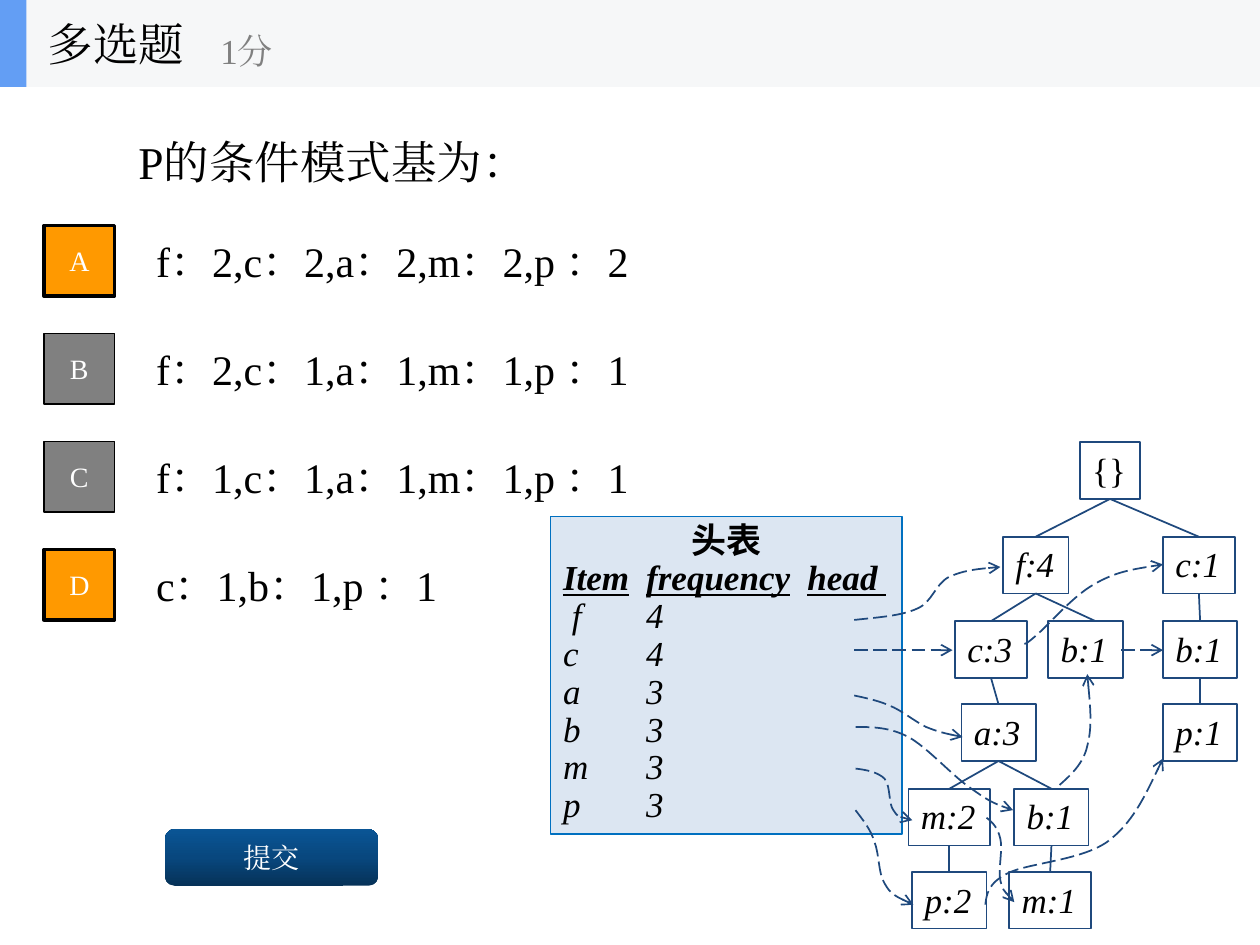
from copy import deepcopy

from lxml import etree
from pptx import Presentation
from pptx.dml.color import RGBColor
from pptx.enum import dml, shapes, text
from pptx.oxml import ns
from pptx.util import Inches, Pt

BLACK = RGBColor(0, 0, 0)
WHITE = RGBColor(255, 255, 255)
GRAY = RGBColor(0x80, 0x80, 0x80)
ORANGE = RGBColor(0xFF, 0x99, 0x00)
NAVY = RGBColor(0x1F, 0x49, 0x7D)
BAR = RGBColor(0xF6, 0xF7, 0xF8)
ACCENT = RGBColor(0x63, 0x9E, 0xF4)
TABLE_FILL = RGBColor(0xDC, 0xE6, 0xF2)
TABLE_LINE = RGBColor(0x00, 0x70, 0xC0)
BUTTON = [(0, RGBColor(0x06, 0x32, 0x58)), (0.5, RGBColor(0x08, 0x47, 0x7E)),
          (1, RGBColor(0x0A, 0x55, 0x95))]
SERIF = "Times New Roman"
SANS = "Noto Sans CJK SC"

OPTIONS = [
    ("A", "f：2,c：2,a：2,m：2,p ：2", True),
    ("B", "f：2,c：1,a：1,m：1,p ：1", False),
    ("C", "f：1,c：1,a：1,m：1,p ：1", False),
    ("D", "c：1,b：1,p ：1", True),
]
HEADER_ROW = "Item\tfrequency\thead "
HEADER_TABS = [0.66, 1.94]
ITEMS = [(" f", 4), ("c", 4), ("a", 3), ("b", 3), ("m", 3), ("p", 3)]

ROW_TOPS = [3.51, 4.26, 4.93, 5.59, 6.26, 6.92]
NODE_H = 0.45
NODES = {
    "root": ("{}", 8.57, 0, 0.48),
    "f": ("f:4", 7.96, 1, 0.52),
    "c right": ("c:1", 9.23, 1, 0.57),
    "c left": ("c:3", 7.58, 2, 0.57),
    "b middle": ("b:1", 8.32, 2, 0.59),
    "b right": ("b:1", 9.23, 2, 0.59),
    "a": ("a:3", 7.63, 3, 0.59),
    "p right": ("p:1", 9.23, 3, 0.59),
    "m left": ("m:2", 7.21, 4, 0.65),
    "b low": ("b:1", 8.05, 4, 0.59),
    "p left": ("p:2", 7.24, 5, 0.59),
    "m low": ("m:1", 8.01, 5, 0.65),
}
EDGES = [
    ("root", "f", 0), ("root", "c right", 0), ("f", "c left", 0), ("f", "b middle", 0.08),
    ("c right", "b right", 0), ("b right", "p right", 0), ("c left", "a", 0),
    ("a", "m left", 0), ("a", "b low", 0), ("m left", "p left", 0), ("b low", "m low", 0),
]
STRAIGHT_LINKS = [(6.78, 5.16, 7.56, 5.16), (8.9, 5.16, 9.23, 5.16)]
CURVED_LINKS = [
    [(6.78, 4.92), (6.96, 4.9), (7.15, 4.89), (7.28, 4.83), (7.4, 4.78), (7.42, 4.64),
     (7.53, 4.58), (7.64, 4.53), (7.79, 4.51), (7.94, 4.5)],
    [(8.13, 5.11), (8.14, 5.11), (8.15, 5.11), (8.24, 5.03), (8.33, 4.95), (8.52, 4.73),
     (8.68, 4.64), (8.85, 4.54), (9.04, 4.51), (9.23, 4.48)],
    [(6.78, 5.52), (6.87, 5.54), (6.97, 5.56), (7.06, 5.6), (7.16, 5.64), (7.25, 5.72),
     (7.35, 5.77), (7.45, 5.81), (7.54, 5.83), (7.64, 5.85)],
    [(6.79, 5.77), (6.92, 5.77), (7.06, 5.77), (7.21, 5.85), (7.36, 5.93), (7.57, 6.17),
     (7.71, 6.26), (7.85, 6.36), (7.94, 6.4), (8.04, 6.43)],
    [(8.41, 6.23), (8.5, 6.15), (8.6, 6.06), (8.63, 5.92), (8.67, 5.77), (8.65, 5.56),
     (8.63, 5.35)],
    [(6.79, 6.1), (6.88, 6.11), (6.97, 6.13), (7.02, 6.18), (7.07, 6.24), (7.05, 6.38),
     (7.09, 6.43), (7.13, 6.49), (7.18, 6.5), (7.24, 6.51)],
    [(7.83, 6.49), (7.88, 6.53), (7.92, 6.57), (7.94, 6.66), (7.96, 6.74), (7.92, 6.91),
     (7.94, 6.99), (7.96, 7.07), (8.01, 7.12), (8.05, 7.16)],
    [(6.79, 6.43), (6.85, 6.51), (6.91, 6.58), (6.94, 6.68), (6.98, 6.78), (6.97, 6.93),
     (7.02, 7.01), (7.07, 7.1), (7.16, 7.14), (7.25, 7.18)],
    [(7.82, 7.18), (7.83, 7.1), (7.84, 7.01), (8, 6.93), (8.16, 6.85), (8.58, 6.83),
     (8.79, 6.68), (8.99, 6.53), (9.11, 6.27), (9.23, 6.02)],
]

prs = Presentation()
prs.slide_width, prs.slide_height = Inches(10), Inches(7.5)
s = prs.slides.add_slide(prs.slide_layouts[6])


def write(p, words, size=20, color=BLACK, font=SERIF, bold=False, italic=False,
          underline=False, align=text.PP_ALIGN.LEFT, spacing=None):
    p.alignment = align
    p.line_spacing = spacing
    r = p.add_run()
    r.text = words
    f = r.font
    f.size, f.name, f.bold, f.italic, f.underline = Pt(size), font, bold, italic, underline
    f.color.rgb = color
    ea = etree.SubElement(f._element, ns.qn("a:ea"))
    ea.set("typeface", font)


def add_label(words, x, y, w, h, **style):
    tf = s.shapes.add_textbox(*map(Inches, (x, y, w, h))).text_frame
    tf.word_wrap = True
    tf.vertical_anchor = text.MSO_ANCHOR.MIDDLE
    write(tf.paragraphs[0], words, **style)


def add_box(x, y, w, h, fill=None, line=None, width=1, kind=shapes.MSO_SHAPE.RECTANGLE):
    sp = s.shapes.add_shape(kind, *map(Inches, (x, y, w, h)))
    sp.shadow.inherit = False
    if fill is None:
        sp.fill.background()
    else:
        sp.fill.solid()
        sp.fill.fore_color.rgb = fill
    if line is None:
        sp.line.fill.background()
    else:
        sp.line.color.rgb = line
        sp.line.width = Pt(width)
    return sp


def caption(sp, words):
    tf = sp.text_frame
    tf.margin_left = tf.margin_right = tf.margin_top = tf.margin_bottom = 0
    tf.vertical_anchor = text.MSO_ANCHOR.MIDDLE
    write(tf.paragraphs[0], words, size=16, color=WHITE, align=text.PP_ALIGN.CENTER)


def style_link(sp, arrow):
    sp.line.color.rgb = NAVY
    sp.line.width = Pt(1)
    if arrow:
        sp.line.dash_style = dml.MSO_LINE.LONG_DASH
        etree.SubElement(sp.line._get_or_add_ln(), ns.qn("a:tailEnd")).set("type", "arrow")


def add_line(x1, y1, x2, y2, arrow=False):
    sp = s.shapes.add_connector(shapes.MSO_CONNECTOR.STRAIGHT, *map(Inches, (x1, y1, x2, y2)))
    style_link(sp, arrow)
    etree.SubElement(sp._element.spPr, ns.qn("a:effectLst"))


def add_curve(points):
    start, *rest = [(Inches(x), Inches(y)) for x, y in points]
    builder = s.shapes.build_freeform(*start)
    builder.add_line_segments(rest, close=False)
    sp = builder.convert_to_shape()
    sp.shadow.inherit = False
    sp.fill.background()
    style_link(sp, True)
    segments = list(sp._element.iter(ns.qn("a:lnTo")))
    outline = segments[0].getparent()
    for i in range(0, len(segments), 3):
        bezier = etree.SubElement(outline, ns.qn("a:cubicBezTo"))
        for segment in segments[i:i + 3]:
            bezier.append(segment[0])
            outline.remove(segment)


add_label("P的条件模式基为：", 1, 0.69, 8, 1.18, size=26)
for i, (letter, answer, chosen) in enumerate(OPTIONS):
    top = 1.79 + i * 0.857
    add_label(answer, 1.14, top - 0.07, 7, 0.7, size=24)
    caption(add_box(0.35, top, 0.56, 0.56, ORANGE if chosen else GRAY, BLACK,
                    2 if chosen else 1), letter)

button = add_box(1.31, 6.58, 1.69, 0.45, kind=shapes.MSO_SHAPE.ROUNDED_RECTANGLE)
button.fill.gradient()
button.fill.gradient_angle = 90
stop_list = next(button._element.iter(ns.qn("a:gsLst")))
stop_list.append(deepcopy(stop_list[0]))
for stop, (position, color) in zip(button.fill.gradient_stops, BUTTON):
    stop.position = position
    stop.color.rgb = color
caption(button, "提交")

for label, x, row, w in NODES.values():
    tf = add_box(x, ROW_TOPS[row], w, NODE_H, line=NAVY).text_frame
    tf.word_wrap = False
    tf.vertical_anchor = text.MSO_ANCHOR.TOP
    write(tf.paragraphs[0], label, italic=label != "{}")

for parent, child, shift in EDGES:
    _, x1, row1, w1 = NODES[parent]
    _, x2, row2, w2 = NODES[child]
    add_line(x1 + w1 / 2, ROW_TOPS[row1] + NODE_H, x2 + w2 / 2 + shift, ROW_TOPS[row2])

tf = add_box(4.37, 4.1, 2.79, 2.52, TABLE_FILL, TABLE_LINE).text_frame
tf.word_wrap = True
tf.vertical_anchor = text.MSO_ANCHOR.TOP
write(tf.paragraphs[0], "头表", font=SANS, bold=True, align=text.PP_ALIGN.CENTER, spacing=0.9)
p = tf.add_paragraph()
write(p, HEADER_ROW, bold=True, italic=True, underline=True, spacing=0.9)
tabs = etree.SubElement(p._p.get_or_add_pPr(), ns.qn("a:tabLst"))
for position in HEADER_TABS:
    tab = etree.SubElement(tabs, ns.qn("a:tab"))
    tab.set("pos", str(Inches(position)))
    tab.set("algn", "l")
for item, frequency in ITEMS:
    write(tf.add_paragraph(), f"{item}\t{frequency}", italic=True, spacing=0.9)

for link in STRAIGHT_LINKS:
    add_line(*link, arrow=True)
for points in CURVED_LINKS:
    add_curve(points)

add_box(0, 0, 10, 0.69, BAR)
add_box(0, 0, 0.21, 0.69, ACCENT)
add_label("多选题", 0.28, 0, 2.08, 0.69, size=26)
add_label("1分", 1.65, 0.12, 2.5, 0.56, color=GRAY)

prs.save("out.pptx")
